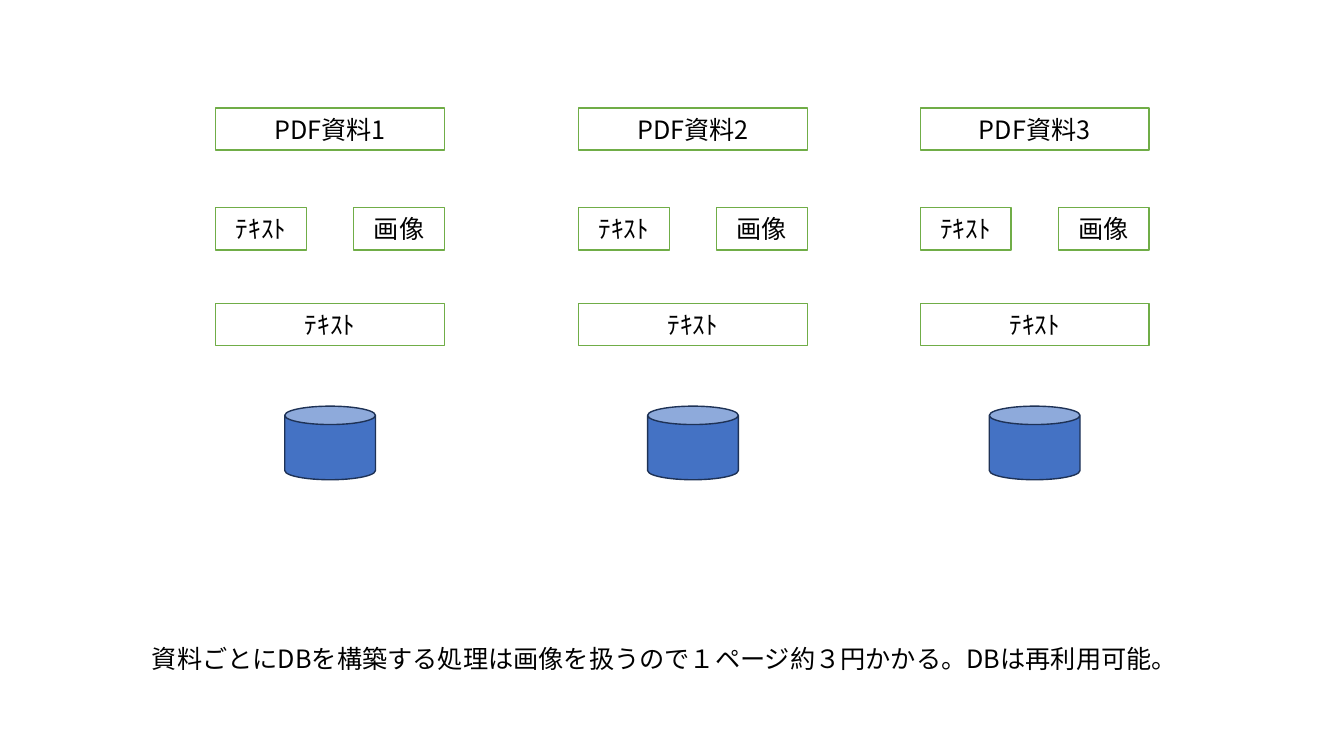
from dataclasses import dataclass

import lxml.etree
import pptx
import pptx.dml.color
import pptx.enum.shapes
import pptx.enum.text
import pptx.oxml.ns
import pptx.util

Pt = pptx.util.Pt
MSO_SHAPE = pptx.enum.shapes.MSO_SHAPE
FONT = "Noto Sans CJK JP"
SOURCE_WIDTH = 163.44
PART_WIDTH = 64.8
BOX_HEIGHT = 30.24
DATABASE_TOP, DATABASE_HEIGHT = 290.16, 52.56


@dataclass(frozen=True)
class Box:
    label: str
    offset: float
    top: float
    width: float


@dataclass(frozen=True)
class Pipeline:
    title: str
    left: float


PIPELINES = [
    Pipeline("PDF資料1", 154.08),
    Pipeline("PDF資料2", 413.28),
    Pipeline("PDF資料3", 657.36),
]
# Extracted parts, then the merged text
STEPS = [
    Box("ﾃｷｽﾄ", 0, 148.32, PART_WIDTH),
    Box("画像", SOURCE_WIDTH - PART_WIDTH, 148.32, PART_WIDTH),
    Box("ﾃｷｽﾄ", 0, 216.72, SOURCE_WIDTH),
]


def color(value: str) -> pptx.dml.color.RGBColor:
    return pptx.dml.color.RGBColor.from_string(value)


def write(frame, text: str) -> None:
    frame.text = text
    frame.word_wrap = True
    for run in frame.paragraphs[0].runs:
        run.font.size = Pt(18)
        run.font.name = FONT
        run.font.color.rgb = color("000000")
        # East Asian typeface
        east_asian = lxml.etree.SubElement(run.font._element, pptx.oxml.ns.qn("a:ea"))
        east_asian.set("typeface", FONT)


def add_figure(slide, kind, left: float, top: float, width: float, height: float,
               fill: str, line: str):
    figure = slide.shapes.add_shape(kind, Pt(left), Pt(top), Pt(width), Pt(height))
    figure.shadow.inherit = False
    figure.fill.solid()
    figure.fill.fore_color.rgb = color(fill)
    figure.line.color.rgb = color(line)
    figure.line.width = Pt(1)
    return figure


def add_box(slide, box: Box, left: float) -> None:
    figure = add_figure(slide, MSO_SHAPE.RECTANGLE, left + box.offset, box.top,
                        box.width, BOX_HEIGHT, "FFFFFF", "70AD47")
    write(figure.text_frame, box.label)
    figure.text_frame.vertical_anchor = pptx.enum.text.MSO_ANCHOR.MIDDLE
    figure.text_frame.paragraphs[0].alignment = pptx.enum.text.PP_ALIGN.CENTER


def add_pipeline(slide, pipeline: Pipeline) -> None:
    add_figure(slide, MSO_SHAPE.CAN, pipeline.left + (SOURCE_WIDTH - PART_WIDTH) / 2,
               DATABASE_TOP, PART_WIDTH, DATABASE_HEIGHT, "4472C4", "1E3256")
    source = Box(pipeline.title, 0, 77.04, SOURCE_WIDTH)
    for box in [source, *STEPS]:
        add_box(slide, box, pipeline.left)


def main() -> None:
    presentation = pptx.Presentation()
    presentation.slide_width, presentation.slide_height = Pt(960), Pt(540)
    slide = presentation.slides.add_slide(presentation.slide_layouts[6])

    # One pipeline per document
    for pipeline in PIPELINES:
        add_pipeline(slide, pipeline)

    # Cost note
    cost_note = slide.shapes.add_textbox(Pt(101.52), Pt(455.76), Pt(801.36), Pt(51.12))
    write(cost_note.text_frame,
          "資料ごとにDBを構築する処理は画像を扱うので１ページ約３円かかる。DBは再利用可能。")
    cost_note.text_frame.auto_size = pptx.enum.text.MSO_AUTO_SIZE.SHAPE_TO_FIT_TEXT

    presentation.save("out.pptx")


if __name__ == "__main__":
    main()
